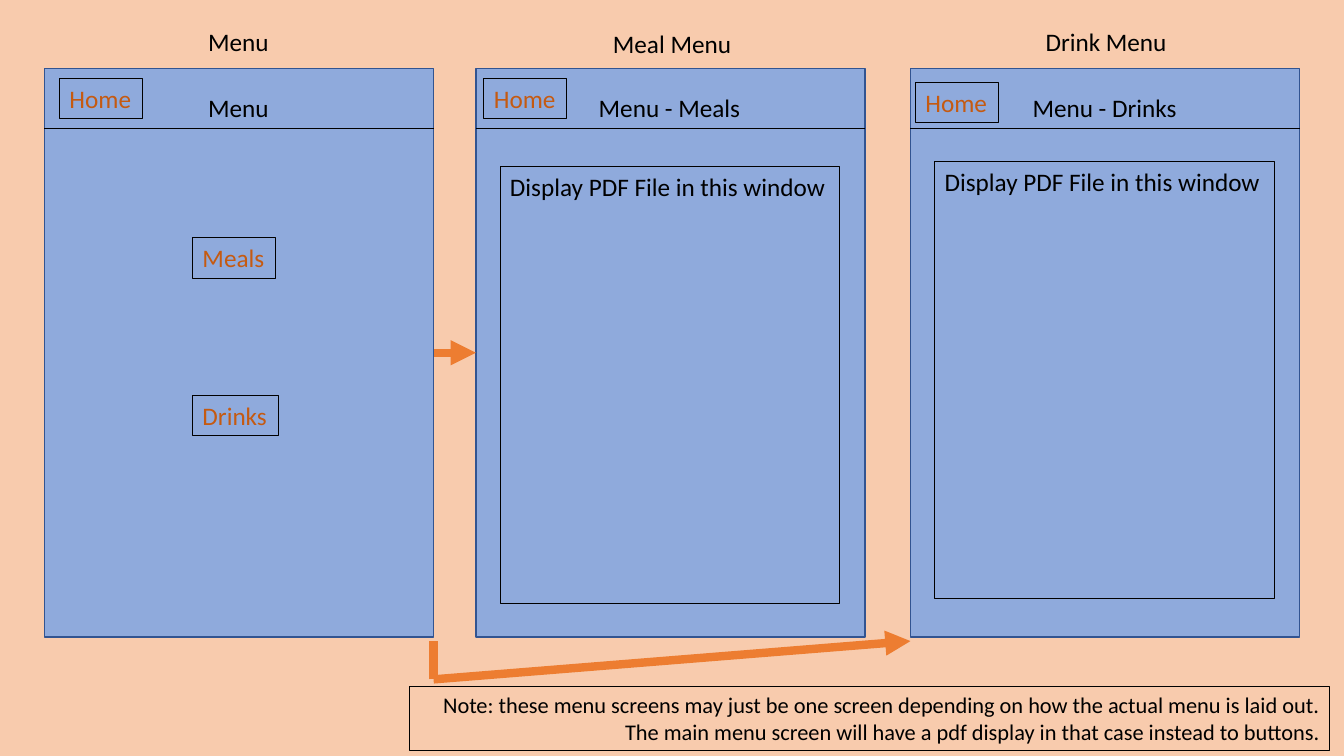
import pptx
import pptx.dml.color
import pptx.enum.shapes
import pptx.enum.text
import pptx.oxml
import pptx.oxml.ns
import pptx.util

Inches = pptx.util.Inches
Pt = pptx.util.Pt
ALIGN = pptx.enum.text.PP_ALIGN

COLORS = {
    "background": "F8CBAD",
    "screen": "8FAADC",
    "screen_edge": "325491",
    "ink": "000000",
    "button": "C55A11",
    "arrow": "ED7D31",
}
SCREEN_TOP, SCREEN_WIDTH, SCREEN_HEIGHT = 0.68, 3.86, 5.64
HEADER_HEIGHT = 0.59
LABEL_HEIGHT = 0.4


def rgb(name):
    return pptx.dml.color.RGBColor.from_string(COLORS[name])


def add_text(slide, text, left, top, width, height=LABEL_HEIGHT, *, size=18,
             color="ink", align=ALIGN.LEFT, wrap=False, border=False):
    shape = slide.shapes.add_textbox(
        Inches(left), Inches(top), Inches(width), Inches(height))
    if border:
        shape.line.color.rgb = rgb("ink")
        shape.line.width = Pt(0.75)
    shape.text_frame.word_wrap = wrap
    paragraph = shape.text_frame.paragraphs[0]
    paragraph.alignment = align
    run = paragraph.add_run()
    run.text = text
    run.font.name = "Calibri"
    run.font.size = Pt(size)
    run.font.color.rgb = rgb(color)
    return shape


def add_line(slide, start, end, color="ink", width=0.5, arrow=False):
    connector = slide.shapes.add_connector(
        pptx.enum.shapes.MSO_CONNECTOR.STRAIGHT,
        *(Inches(value) for value in (*start, *end)))
    connector.line.color.rgb = rgb(color)
    connector.line.width = Pt(width)
    if arrow:
        tail = pptx.oxml.parse_xml(
            f'<a:tailEnd {pptx.oxml.ns.nsdecls("a")} type="triangle"/>')
        connector.line._get_or_add_ln().append(tail)
    effects = pptx.oxml.parse_xml(f'<a:effectLst {pptx.oxml.ns.nsdecls("a")}/>')
    connector._element.spPr.append(effects)
    return connector


def add_button(slide, text, left, top, width=0.82):
    add_text(slide, text, left, top, width, color="button", border=True)


def add_screen(slide, left, caption, heading, home):
    """Draw one screen; caption and heading are (text, dx, dy, width)."""
    # Panel and header rule
    panel = slide.shapes.add_shape(
        pptx.enum.shapes.MSO_SHAPE.RECTANGLE, Inches(left), Inches(SCREEN_TOP),
        Inches(SCREEN_WIDTH), Inches(SCREEN_HEIGHT))
    panel.shadow.inherit = False
    panel.fill.solid()
    panel.fill.fore_color.rgb = rgb("screen")
    panel.line.color.rgb = rgb("screen_edge")
    panel.line.width = Pt(1)
    rule_top = SCREEN_TOP + HEADER_HEIGHT
    add_line(slide, (left, rule_top), (left + SCREEN_WIDTH, rule_top))

    # Caption above, heading and home button inside
    for text, dx, dy, width in (caption, heading):
        add_text(slide, text, left + dx, SCREEN_TOP + dy, width,
                 align=ALIGN.CENTER)
    add_button(slide, "Home", left + home[0], SCREEN_TOP + home[1])
    return panel


def add_main_menu(slide, left):
    panel = add_screen(slide, left, ("Menu", 1.52, -0.47, 0.81),
                       ("Menu", 1.52, 0.19, 0.81), (0.15, 0.1))
    add_button(slide, "Meals", left + 1.47, SCREEN_TOP + 1.68)
    add_button(slide, "Drinks", left + 1.47, SCREEN_TOP + 3.24, 0.85)
    return panel


def add_pdf_menu(slide, left, caption, heading, home, window_dy):
    panel = add_screen(slide, left, caption, heading, home)
    add_text(slide, "Display PDF File in this window", left + 0.24,
             SCREEN_TOP + window_dy, 3.37, 4.34, border=True)
    return panel


def add_flow(slide, main_panel, meal_panel, main_left, drink_left):
    main_right = main_left + SCREEN_WIDTH
    middle = SCREEN_TOP + SCREEN_HEIGHT / 2
    below = SCREEN_TOP + SCREEN_HEIGHT + 0.04
    corner = (main_right, below + 0.38)
    style = {"color": "arrow", "width": 6}

    # Main menu to meals
    to_meals = add_line(slide, (main_right, middle),
                        (main_right + 0.42, middle), arrow=True, **style)
    to_meals.begin_connect(main_panel, 3)
    to_meals.end_connect(meal_panel, 1)

    # Main menu to drinks, passing under the meal screen
    add_line(slide, corner, (drink_left, below), arrow=True, **style)
    add_line(slide, corner, (main_right, below), **style)


def add_note(slide, left, top, width, height):
    add_text(slide, "Note: these menu screens may just be one screen depending "
             "on how the actual menu is laid out. The main menu screen will "
             "have a pdf display in that case instead to buttons.",
             left, top, width, height, size=16, align=ALIGN.RIGHT,
             wrap=True, border=True)


def main():
    presentation = pptx.Presentation()
    presentation.slide_width = Inches(13.33)
    presentation.slide_height = Inches(7.5)
    slide = presentation.slides.add_slide(presentation.slide_layouts[6])
    slide.background.fill.solid()
    slide.background.fill.fore_color.rgb = rgb("background")

    main_left, meal_left, drink_left = 0.44, 4.72, 9.03
    main_panel = add_main_menu(slide, main_left)
    meal_panel = add_pdf_menu(
        slide, meal_left, ("Meal Menu", 1.25, -0.45, 1.39),
        ("Menu - Meals", 1.11, 0.19, 1.62), (0.08, 0.1), 0.97)
    add_pdf_menu(
        slide, drink_left, ("Drink Menu", 1.23, -0.47, 1.42),
        ("Menu - Drinks", 1.1, 0.19, 1.65), (0.05, 0.14), 0.92)
    add_flow(slide, main_panel, meal_panel, main_left, drink_left)
    add_note(slide, 4.06, 6.81, 9.13, 0.64)

    presentation.save("out.pptx")


if __name__ == "__main__":
    main()
